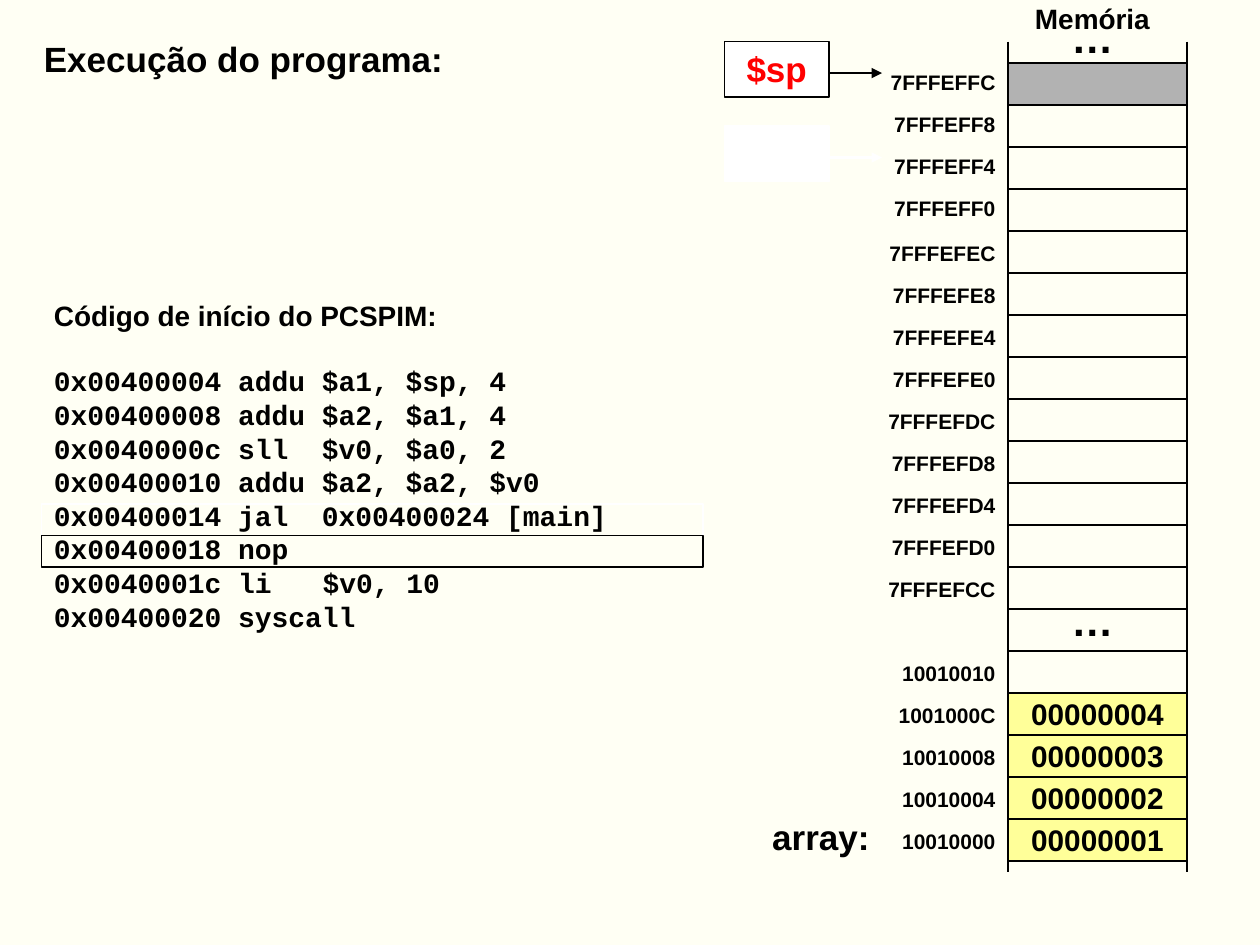
from dataclasses import dataclass

from lxml import etree
from pptx import Presentation
from pptx.dml.color import RGBColor
from pptx.enum.shapes import MSO_CONNECTOR, MSO_SHAPE
from pptx.enum.text import MSO_ANCHOR, PP_ALIGN
from pptx.oxml.ns import qn
from pptx.util import Inches, Pt

LEFT, CENTER, RIGHT = PP_ALIGN.LEFT, PP_ALIGN.CENTER, PP_ALIGN.RIGHT
TOP, MIDDLE = MSO_ANCHOR.TOP, MSO_ANCHOR.MIDDLE
RECT, STRAIGHT = MSO_SHAPE.RECTANGLE, MSO_CONNECTOR.STRAIGHT

COLORS = {
    "background": "FFFFF4",
    "black": "000000",
    "white": "FFFFFF",
    "red": "FF0000",
    "yellow": "FFFF99",
    "gray": "B2B2B2",
}

MEM_LEFT, MEM_RIGHT = 8, 9.42
MEM_TOP, ROW_H, ROWS = 0.5, 1 / 3, 19
STACK_ROWS, DATA_START = 13, 14
DATA_ADDRESSES = ["10010010", "1001000C", "10010008", "10010004", "10010000"]
ARRAY = ["00000004", "00000003", "00000002", "00000001"]
CODE = [
    "0x00400004 addu $a1, $sp, 4",
    "0x00400008 addu $a2, $a1, 4",
    "0x0040000c sll  $v0, $a0, 2",
    "0x00400010 addu $a2, $a2, $v0",
    "0x00400014 jal  0x00400024 [main]",
    "0x00400018 nop",
    "0x0040001c li\t $v0, 10",
    "0x00400020 syscall",
]


@dataclass
class Box:
    left: float
    top: float
    width: float
    height: float


@dataclass
class Style:
    size: float
    align: PP_ALIGN = LEFT
    color: str = "black"
    font: str = "Arial"
    anchor: MSO_ANCHOR = TOP
    wrap: bool = True


def rgb(name: str) -> RGBColor:
    return RGBColor.from_string(COLORS[name])


def write(sp, lines: list[str], style: Style) -> None:
    tf = sp.text_frame
    tf.word_wrap = style.wrap
    tf.vertical_anchor = style.anchor
    tf.text = "\n".join(lines)
    for p in tf.paragraphs:
        p.alignment = style.align
        p.font.size = Pt(style.size)
        p.font.name = style.font
        p.font.bold = True
        p.font.color.rgb = rgb(style.color)


def add_text(shapes, box: Box, lines: list[str], style: Style):
    sp = shapes.add_textbox(Inches(box.left), Inches(box.top), Inches(box.width), Inches(box.height))
    write(sp, lines, style)
    return sp


def add_rect(shapes, box: Box, fill: str | None = None, line: str = "black"):
    sp = shapes.add_shape(RECT, Inches(box.left), Inches(box.top), Inches(box.width), Inches(box.height))
    sp.shadow.inherit = False
    if fill:
        sp.fill.solid()
        sp.fill.fore_color.rgb = rgb(fill)
    else:
        sp.fill.background()
    sp.line.color.rgb = rgb(line)
    sp.line.width = Pt(0.75)
    return sp


def add_line(shapes, x1: float, y1: float, x2: float, y2: float,
             color: str = "black", width: float = 0.75, arrow: bool = False) -> None:
    cxn = shapes.add_connector(STRAIGHT, Inches(x1), Inches(y1), Inches(x2), Inches(y2))
    cxn.line.color.rgb = rgb(color)
    cxn.line.width = Pt(width)
    sp_pr = cxn._element.spPr
    if arrow:
        etree.SubElement(sp_pr.find(qn("a:ln")), qn("a:tailEnd"), type="triangle")
    etree.SubElement(sp_pr, qn("a:effectLst"))


def row_top(row: int) -> float:
    return MEM_TOP + row * ROW_H


def memory_cell(row: int) -> Box:
    return Box(MEM_LEFT, row_top(row), MEM_RIGHT - MEM_LEFT, ROW_H)


def add_code(shapes) -> None:
    add_text(shapes, Box(0.33, 2.84, 5.42, 2.24), CODE, Style(16, font="Courier New"))
    for top, color in ((4, "white"), (4.25, "black")):
        add_rect(shapes, Box(0.33, top, 5.25, 0.25), line=color)


def add_memory(shapes) -> None:
    addresses = {i: f"{0x7FFFEFFC - 4 * i:X}" for i in range(STACK_ROWS)}
    addresses.update(enumerate(DATA_ADDRESSES, DATA_START))
    for row, address in addresses.items():
        nudge = 0 if row < 4 else 0.03
        add_text(shapes, Box(6.83, row_top(row) + nudge, 1.17, 0.3), [address], Style(12, RIGHT))

    header = add_text(shapes, Box(7.92, 0.08, 1.5, 0.44), ["Memória"], Style(16, CENTER))
    p = header.text_frame.paragraphs[0]
    p.line_spacing = 0.5
    p.add_line_break()
    r = p.add_run()
    r.text = "…"
    r.font.size = Pt(24)
    add_text(shapes, Box(7.92, 4.67, 1.5, 0.5), ["…"], Style(24, CENTER))

    for x in (MEM_LEFT, MEM_RIGHT):
        for y1, y2 in ((0.33, 6.92), (0.67, 0.83), (4.5, 4.67)):
            add_line(shapes, x, y1, x, y2)
    for row in range(ROWS + 1):
        add_line(shapes, MEM_LEFT, row_top(row), MEM_RIGHT, row_top(row))

    for row, value in enumerate(ARRAY, DATA_START + 1):
        sp = add_rect(shapes, memory_cell(row), "yellow")
        write(sp, [value], Style(17, CENTER, anchor=MIDDLE, wrap=False))
    add_rect(shapes, memory_cell(0), "gray")


def add_pointer(shapes, top: float, color: str, label: str = "") -> None:
    sp = add_rect(shapes, Box(5.75, top, 0.83, 0.44), "white", color)
    if label:
        write(sp, [label], Style(20, CENTER, "red"))
    add_line(shapes, 6.58, top + 0.25, 7, top + 0.25, color, 1.5, arrow=True)


def main() -> None:
    prs = Presentation()
    prs.slide_width, prs.slide_height = Inches(10), Inches(7.5)
    s = prs.slides.add_slide(prs.slide_layouts[6])
    s.background.fill.solid()
    s.background.fill.fore_color.rgb = rgb("background")
    add_code(s.shapes)
    add_memory(s.shapes)
    add_pointer(s.shapes, 1, "white")
    add_pointer(s.shapes, 0.33, "black", "$sp")
    add_text(s.shapes, Box(0.25, 0.25, 4.33, 0.44), ["Execução do programa:"], Style(20))
    add_text(s.shapes, Box(0.33, 2.32, 4.33, 0.37), ["Código de início do PCSPIM:"], Style(16))
    add_text(s.shapes, Box(5.92, 6.42, 1.08, 0.44), ["array:"], Style(20, RIGHT))
    prs.save("out.pptx")


if __name__ == "__main__":
    main()
